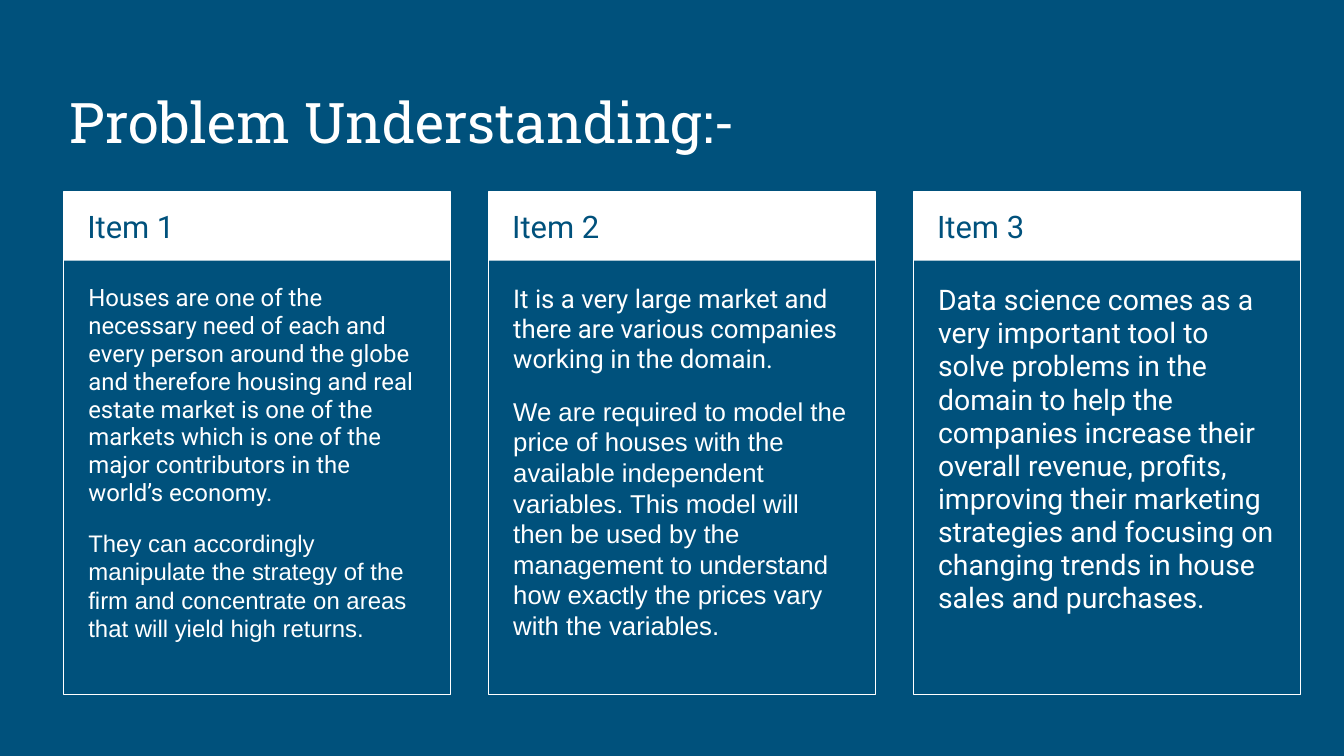
"""Build the problem understanding slide with three item cards."""
from pptx import Presentation
from pptx.dml.color import RGBColor
from pptx.enum.shapes import MSO_SHAPE
from pptx.enum.text import MSO_ANCHOR, MSO_AUTO_SIZE, PP_ALIGN
from pptx.util import Cm, Pt

RECT = MSO_SHAPE.RECTANGLE
TOP, BOTTOM = MSO_ANCHOR.TOP, MSO_ANCHOR.BOTTOM
FIXED = MSO_AUTO_SIZE.NONE
LEFT = PP_ALIGN.LEFT
BLUE = RGBColor(0x00, 0x51, 0x7C)
WHITE = RGBColor(0xFF, 0xFF, 0xFF)
SLAB, SANS, ARIAL = "Roboto Slab", "Roboto", "Arial"
PITCH = {SANS: 0.97, ARIAL: 0.99}

CARDS = [
    ("Item 1", 12.8, [
        (SANS, "Houses are one of the necessary need of each and every person "
               "around the globe and therefore housing and real estate market "
               "is one of the markets which is one of the major contributors "
               "in the world’s economy."),
        (ARIAL, "They can accordingly manipulate the strategy of the firm and "
                "concentrate on areas that will yield high returns."),
    ]),
    ("Item 2", 13.8, [
        (SANS, "It is a very large market and there are various companies "
               "working in the domain."),
        (ARIAL, "We are required to model the price of houses with the "
                "available independent variables. This model will then be "
                "used by the management to understand how exactly the prices "
                "vary with the variables."),
    ]),
    ("Item 3", 15.2, [
        (SANS, "Data science comes as a very important tool to solve problems "
               "in the domain to help the companies increase their overall "
               "revenue, profits, improving their marketing strategies and "
               "focusing on changing trends in house sales and purchases."),
    ]),
]


class Deck:
    """Hold the style and the current slide."""

    def __init__(self, show):
        self.slide = show.slides.add_slide(show.slide_layouts[5])
        fill = self.slide.background.fill
        fill.solid()
        fill.fore_color.rgb = BLUE

    def frame(self, shape, anchor):
        frame = shape.text_frame
        frame.word_wrap = True
        frame.auto_size = FIXED
        frame.vertical_anchor = anchor
        frame.margin_left = frame.margin_right = Cm(0.25)
        frame.margin_top = frame.margin_bottom = Cm(0.25)
        return frame

    def words(self, para, text, font, size, color, pitch=1.0):
        para.alignment = LEFT
        para.line_spacing = pitch
        run = para.add_run()
        run.text = text
        run.font.name = font
        run.font.size = Pt(size)
        run.font.color.rgb = color

    def title(self, text):
        shape = self.slide.shapes.title
        shape.left, shape.top = Cm(1.07), Cm(1.27)
        shape.width, shape.height = Cm(23.24), Cm(1.9)
        frame = self.frame(shape, BOTTOM)
        self.words(frame.paragraphs[0], text, SLAB, 30, WHITE)

    def box(self, group, x, high, solid):
        shape = group.shapes.add_shape(RECT, Cm(x), Cm(3.63), Cm(7.32), Cm(high))
        shape.shadow.inherit = False
        if solid:
            shape.fill.solid()
            shape.fill.fore_color.rgb = WHITE
            shape.line.fill.background()
        else:
            shape.fill.background()
            shape.line.color.rgb = WHITE
            shape.line.width = Pt(0.75)

    def text(self, x, y, wide, high):
        shape = self.slide.shapes.add_textbox(Cm(x), Cm(y), Cm(wide), Cm(high))
        return self.frame(shape, TOP)

    def card(self, x, head, size, paras):
        group = self.slide.shapes.add_group_shape()
        self.box(group, x, 1.3, True)
        self.box(group, x, 9.5, False)
        label = self.text(x + 0.2, 3.63, 6.93, 1.27)
        self.words(label.paragraphs[0], head, SANS, 16.6, BLUE, 1.05)
        body = self.text(x + 0.22, 5.13, 6.88, 7.77)
        for i, (font, text) in enumerate(paras):
            para = body.add_paragraph() if i else body.paragraphs[0]
            if i:
                para.space_before = Pt(12)
            self.words(para, text, font, size, WHITE, PITCH[font])


def main():
    show = Presentation()
    show.slide_width, show.slide_height = Cm(25.4), Cm(14.29)
    deck = Deck(show)
    deck.title("Problem Understanding:-")
    for i, (head, size, paras) in enumerate(CARDS):
        deck.card(1.2 + i * 8.03, head, size, paras)
    show.save("out.pptx")


if __name__ == "__main__":
    main()
